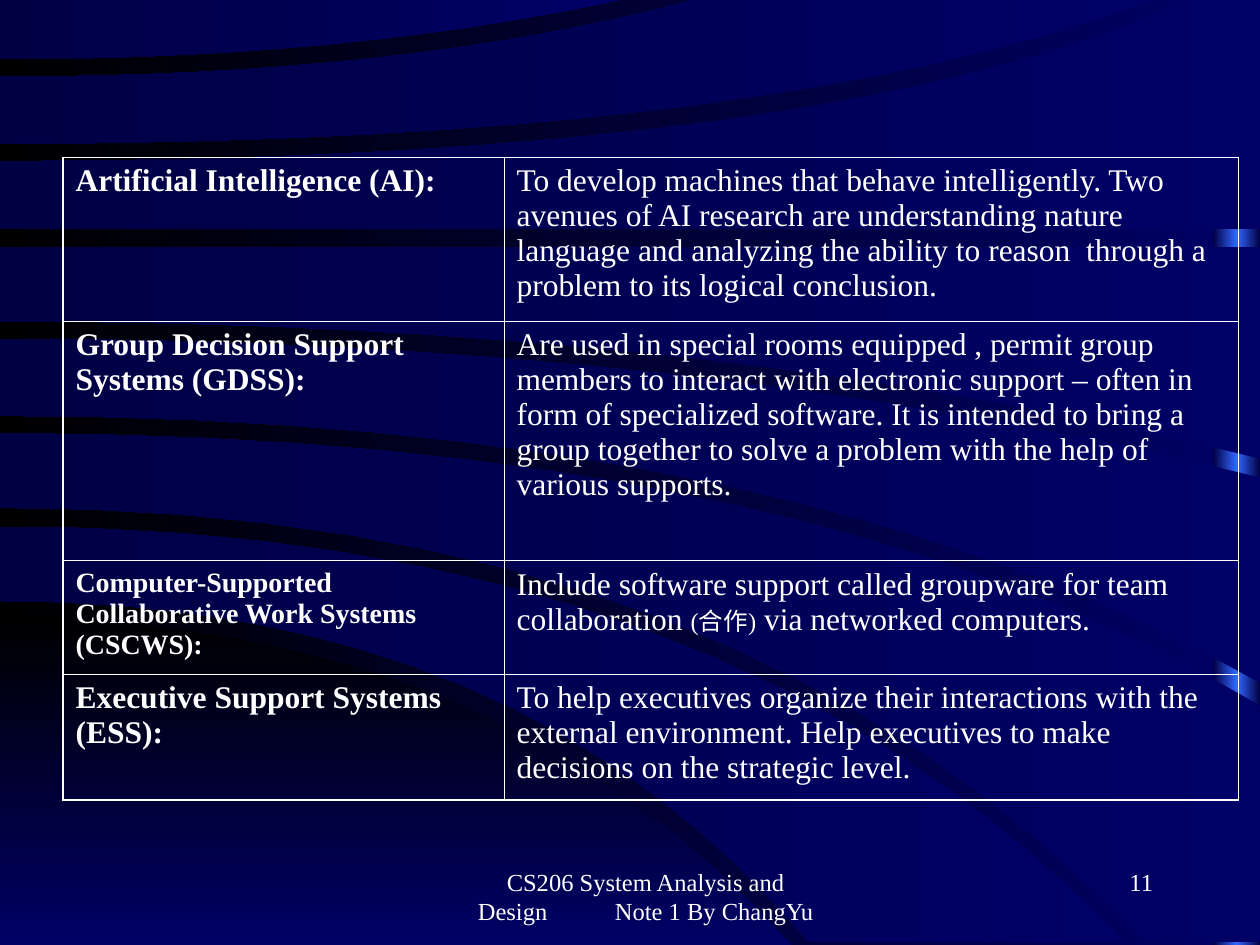
from copy import deepcopy

from lxml.etree import SubElement
from pptx import Presentation
from pptx.dml.color import RGBColor as Rgb
from pptx.enum.shapes import MSO_SHAPE as Shape
from pptx.enum.text import PP_ALIGN as Align
from pptx.oxml.ns import qn
from pptx.util import Inches, Pt

COLORS = {"navy": "000066", "deep": "000044", "black": "000000",
          "glow": "3366FF", "white": "FFFFFF"}
FONT = "Times New Roman"
THICK, THIN = Pt(1.08), Pt(0.45)
STEPS = 16

HILL = ((4.91, 3.98, 6.28, 7.5), (7.5, 3.14, 6.28, 7.5))
BANDS = [
    ((4.18, 5.8, 8.93, 7.48), (4.77, 4.17, 6.42, 7.48)),
    ((3.44, 6.4, 10, 5.6), (4.03, 5.88, 9.09, 7.48)),
    ((2.69, 5.54, 10, 3.79), (3.3, 6.3, 10, 5.42)),
    ((1.96, 5, 10, 1.96), (2.55, 5.66, 10, 3.64)),
    ((1.28, 6.67, 9.43, 0), (1.82, 5, 10, 1.82)),
    ((0.61, 3.25, 5.5, 0), (1.14, 6.13, 9.15, 0)),
    ((0, 2.5, 4.93, 0), (0.47, 2.74, 4.93, 0)),
]

ROWS = [
    (1.3, 18, "Artificial Intelligence (AI):",
     [("To develop machines that behave intelligently. Two avenues of AI "
       "research are understanding nature language and analyzing the ability "
       "to reason  through a problem to its logical conclusion.", 18)]),
    (1.9, 18, "Group Decision Support Systems (GDSS):",
     [("Are used in special rooms equipped , permit group members to interact "
       "with electronic support – often in form of specialized software. It is "
       "intended to bring a group together to solve a problem with the help of "
       "various supports.", 18)]),
    (0.9, 16, "Computer-Supported Collaborative Work Systems (CSCWS):",
     [("Include software support called groupware for team collaboration ", 18),
      ("(合作)", 14), (" via networked computers.", 18)]),
    (1, 18, "Executive Support Systems (ESS):",
     [("To help executives organize their interactions with the external "
       "environment. Help executives to make decisions on the strategic "
       "level.", 18)]),
]


def tint(name):
    return Rgb.from_string(COLORS[name])


def blend(fill, first, last, angle=180):
    fill.gradient()
    fill.gradient_angle = angle
    for stop, name, place in zip(fill.gradient_stops, (first, last), (0, 1)):
        stop.color.rgb = tint(name)
        stop.position = place


def bare(shape):
    shape.shadow.inherit = False
    shape.line.fill.background()


def curve(start, bend, right, end):
    points = []
    for step in range(STEPS + 1):
        t = step / STEPS
        points.append((2 * t * (1 - t) * bend + t * t * right,
                       start + t * t * (end - start)))
    return points


def sweep(slide, edges, first, last, angle=180):
    upper, lower = [curve(*edge) for edge in edges]
    near, far = sorted((upper[-1], lower[-1]))
    points = upper + [(far[0], near[1])] + lower[::-1]
    start, *rest = [(Inches(x), Inches(y)) for x, y in points]
    pen = slide.shapes.build_freeform(*start)
    pen.add_line_segments(rest, close=True)
    shape = pen.convert_to_shape()
    bare(shape)
    blend(shape.fill, first, last, angle)


def glow(slide, left, top, width, height):
    bar = slide.shapes.add_shape(Shape.RECTANGLE, left, top, width, height)
    bare(bar)
    blend(bar.fill, "deep", "glow")
    stops = bar._element.spPr.find(qn("a:gradFill")).find(qn("a:gsLst"))
    stops[1].set("pos", "50000")
    end = deepcopy(stops[0])
    end.set("pos", "100000")
    stops.append(end)


def backdrop(slide):
    blend(slide.background.fill, "navy", "black")
    glow(slide, Inches(9.63), 0, Inches(0.37), Inches(7.5))
    sweep(slide, HILL, "black", "navy", 270)
    for band in BANDS:
        sweep(slide, band, "navy", "deep")


def style(font, size, bold=False):
    font.name, font.size, font.bold = FONT, Pt(size), bold
    font.color.rgb = tint("white")


def border(cell, sides):
    props = cell._tc.get_or_add_tcPr()
    for spot, (side, width) in enumerate(sides):
        line = SubElement(props, qn(f"a:ln{side}"), w=str(int(width)))
        paint = SubElement(line, qn("a:solidFill"))
        SubElement(paint, qn("a:srgbClr"), val=COLORS["white"])
        props.insert(spot, line)


def terms(slide, left, top, widths):
    height = sum(row[0] for row in ROWS)
    frame = slide.shapes.add_table(len(ROWS), len(widths), left, top,
                                   sum(widths), Inches(height))
    table = frame.table
    table.first_row = table.horz_banding = False
    for col, width in zip(table.columns, widths):
        col.width = width
    for r, (tall, size, term, parts) in enumerate(ROWS):
        table.rows[r].height = Inches(tall)
        for c, runs in enumerate(([(term, size)], parts)):
            cell = table.cell(r, c)
            cell.fill.background()
            para = cell.text_frame.paragraphs[0]
            for text, points in runs:
                run = para.add_run()
                run.text = text
                style(run.font, points, c == 0)
            edges = (c == 0, c == 1, r == 0, r == len(ROWS) - 1)
            border(cell, [(side, THICK if edge else THIN)
                          for side, edge in zip("LRTB", edges)])


def footer(slide, left, top, width, height, align, *texts):
    box = slide.shapes.add_textbox(left, top, width, height)
    box.text_frame.word_wrap = True
    para = box.text_frame.paragraphs[0]
    para.alignment = align
    for spot, text in enumerate(texts):
        if spot:
            gap = para.add_run()
            gap.text = " "
            gap.font._element.set("spc", "3500")
        para.add_run().text = text
    style(para.font, 14)


def main():
    deck = Presentation()
    deck.slide_width, deck.slide_height = Inches(10), Inches(7.5)
    slide = deck.slides.add_slide(deck.slide_layouts[6])
    backdrop(slide)
    terms(slide, Inches(0.5), Inches(1.25), (Inches(3.5), Inches(5.83)))
    low, tall = Inches(6.83), Inches(0.5)
    footer(slide, Inches(3.66), low, Inches(2.93), tall, Align.CENTER,
           "CS206 System Analysis and Design", "Note 1 By ChangYu")
    footer(slide, Inches(7.17), low, Inches(2.08), tall, Align.RIGHT, "11")
    deck.save("out.pptx")


if __name__ == "__main__":
    main()
